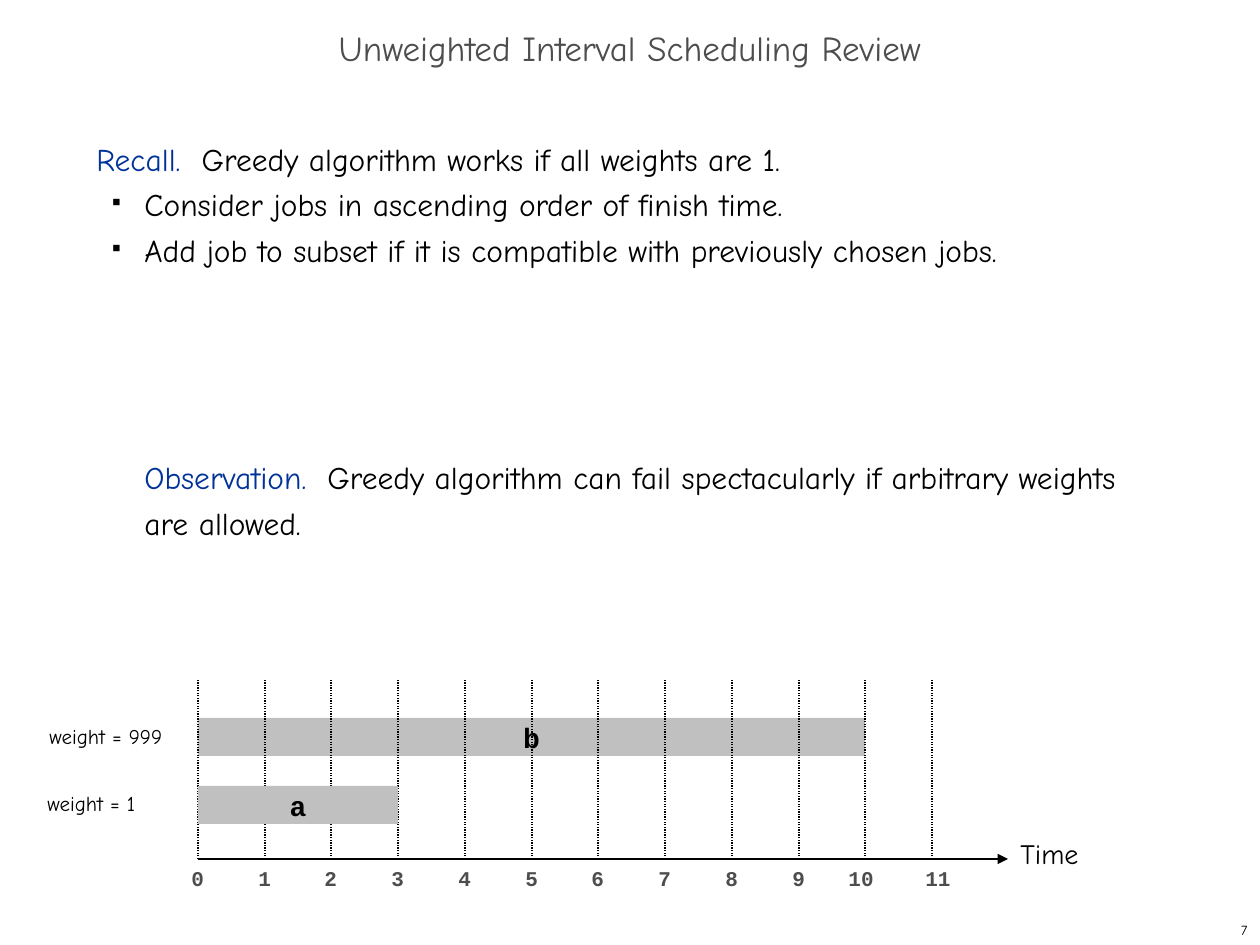
from lxml import etree
from pptx import Presentation
from pptx.dml.color import RGBColor
from pptx.enum.dml import MSO_LINE
from pptx.enum.shapes import MSO_CONNECTOR, MSO_SHAPE
from pptx.enum.text import MSO_ANCHOR, MSO_AUTO_SIZE, PP_ALIGN
from pptx.oxml.ns import qn
from pptx.util import Pt

PX = 914400 / 126
TOP, MIDDLE = MSO_ANCHOR.TOP, MSO_ANCHOR.MIDDLE
LEFT, CENTER, RIGHT = PP_ALIGN.LEFT, PP_ALIGN.CENTER, PP_ALIGN.RIGHT
RECT, STRAIGHT = MSO_SHAPE.RECTANGLE, MSO_CONNECTOR.STRAIGHT
DOTTED, FIXED = MSO_LINE.ROUND_DOT, MSO_AUTO_SIZE.NONE
HAND, MONO = "Comic Neue", "Courier New"
COLORS = {"ink": "000000", "gray": "4D4D4D", "blue": "003399", "bar": "C0C0C0"}


def emu(*lengths):
    return [round(n * PX) for n in lengths]


def color(name):
    return RGBColor.from_string(COLORS[name])


def add_run(para, text, size, tone="ink", face=HAND, bold=False):
    run = para.add_run()
    run.text = text
    font = run.font
    font.name, font.size, font.bold = face, Pt(size), bold
    font.color.rgb = color(tone)


def add_text(slide, box, text, size, align=LEFT, anchor=TOP, wrap=True, **style):
    frame = slide.shapes.add_textbox(*emu(*box)).text_frame
    frame.word_wrap, frame.vertical_anchor = wrap, anchor
    para = frame.paragraphs[0]
    para.alignment = align
    add_run(para, text, size, **style)


def add_line(slide, start, end, width):
    line = slide.shapes.add_connector(STRAIGHT, *emu(*start, *end))
    line.line.color.rgb = color("ink")
    line.line.width = Pt(width)
    etree.SubElement(line._element.spPr, qn("a:effectLst"))
    return line


def add_bar(slide, box, name):
    bar = slide.shapes.add_shape(RECT, *emu(*box))
    bar.shadow.inherit = False
    bar.fill.solid()
    bar.fill.fore_color.rgb = color("bar")
    bar.line.fill.background()
    frame = bar.text_frame
    frame.vertical_anchor = MIDDLE
    para = frame.paragraphs[0]
    para.alignment = CENTER
    add_run(para, name, 16, face=MONO, bold=True)


def indent(para, margin, hang=0):
    props = para._p.get_or_add_pPr()
    left, first = emu(margin, -hang)
    props.set("marL", str(left))
    props.set("indent", str(first))
    return props


def add_bullet(para):
    props = indent(para, 48, 32)
    tint = etree.SubElement(props, qn("a:buClr"))
    etree.SubElement(tint, qn("a:srgbClr")).set("val", COLORS["ink"])
    etree.SubElement(props, qn("a:buSzPct")).set("val", "35000")
    etree.SubElement(props, qn("a:buChar")).set("char", "■")


def add_title(slide, box, text):
    title = slide.shapes.title
    title.left, title.top, title.width, title.height = emu(*box)
    frame = title.text_frame
    frame.auto_size, frame.vertical_anchor = FIXED, MIDDLE
    para = frame.paragraphs[0]
    para.alignment, para.line_spacing = CENTER, 0.7
    add_run(para, text, 20, "gray")


def add_body(slide, box):
    frame = slide.shapes.add_textbox(*emu(*box)).text_frame
    frame.word_wrap = True
    recall = frame.paragraphs[0]
    add_run(recall, "Recall.  ", 18, "blue")
    add_run(recall, "Greedy algorithm works if all weights are 1.", 18)
    for step in ("Consider jobs in ascending order of finish time.",
                 "Add job to subset if it is compatible with previously chosen jobs."):
        para = frame.add_paragraph()
        add_bullet(para)
        add_run(para, step, 18)
    note = frame.add_paragraph()
    indent(note, 48)
    note.space_before = Pt(104)
    add_run(note, "Observation.  ", 18, "blue")
    add_run(note, "Greedy algorithm can fail spectacularly "
                  "if arbitrary weights are allowed.", 18)
    for para in frame.paragraphs:
        para.line_spacing = Pt(26)


def add_chart_area(slide, box):
    """Draw the time axis, its ticks and the two weighted jobs."""
    left, top, width, height = box
    base, last = top + height, 11
    ticks = [left + round(i * width / last) for i in range(last + 1)]

    axis = add_line(slide, (left, base), (left + 810, base), 1.25)
    etree.SubElement(axis.line._get_or_add_ln(), qn("a:tailEnd")).set("type", "triangle")
    add_text(slide, (left + 810, base - 29, 105, 47), "Time", 16)

    shift = {10: 29}
    for i, x in enumerate(ticks):
        add_text(slide, (x - shift.get(i, 19), base, 58, 38), str(i), 12,
                 tone="gray", face=MONO, bold=True)

    add_bar(slide, (left, top + 39, ticks[10] - left, 38), "b")
    for x in ticks:
        add_line(slide, (x, base), (x, top), 0.75).line.dash_style = DOTTED
    add_bar(slide, (left, top + 107, ticks[3] - left, 38), "a")

    add_text(slide, (left - 161, top + 38, 139, 38), "weight = 999", 12, wrap=False)
    add_text(slide, (left - 163, top + 105, 113, 38), "weight = 1", 12, wrap=False)


def main():
    deck = Presentation()
    deck.slide_width, deck.slide_height = emu(1260, 945)
    slide = deck.slides.add_slide(deck.slide_layouts[5])
    add_title(slide, (0, 21, 1260, 63), "Unweighted Interval Scheduling Review")
    add_body(slide, (84, 126, 1081, 746))
    add_chart_area(slide, (198, 679, 734, 180))
    add_text(slide, (998, 914, 262, 31), "7", 8, RIGHT, MIDDLE)
    deck.save("out.pptx")


if __name__ == "__main__":
    main()
